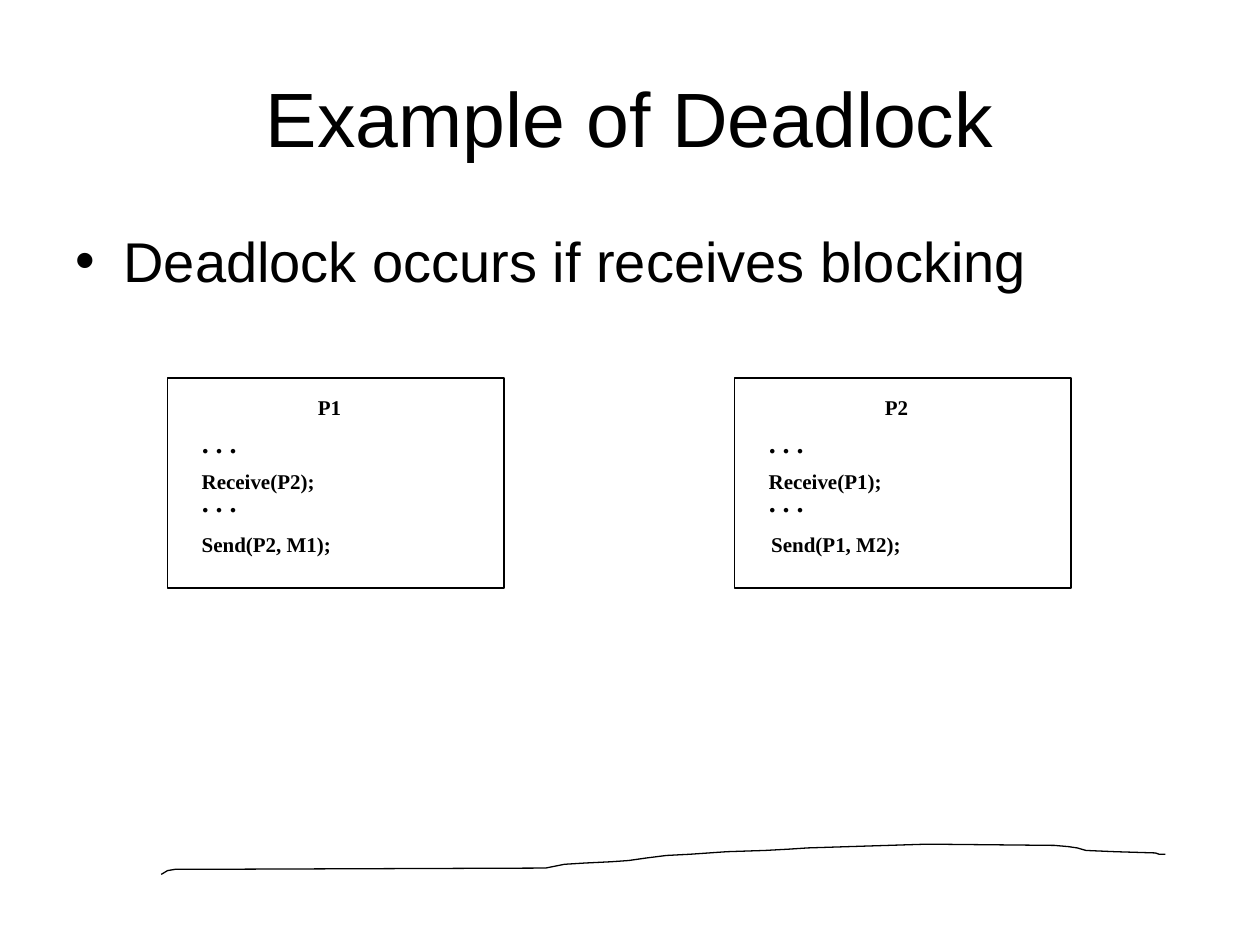
from lxml import etree
from pptx import Presentation
from pptx.dml.color import RGBColor
from pptx.enum.shapes import MSO_SHAPE
from pptx.enum.text import MSO_ANCHOR, MSO_AUTO_SIZE, PP_ALIGN
from pptx.oxml.ns import qn
from pptx.util import Inches, Pt

RECTANGLE = MSO_SHAPE.RECTANGLE
CENTER = PP_ALIGN.CENTER
MIDDLE, TOP = MSO_ANCHOR.MIDDLE, MSO_ANCHOR.TOP
FIT_SHAPE, NO_FIT = MSO_AUTO_SIZE.SHAPE_TO_FIT_TEXT, MSO_AUTO_SIZE.NONE

COLORS = {"ink": "000000", "paper": "FFFFFF"}
HEADING_FONT, CODE_FONT = "Arial", "Times New Roman"

RULE_POINTS = [
    (1.28, 6.94), (1.33, 6.91), (1.39, 6.9), (1.49, 6.9), (4.33, 6.89),
    (4.48, 6.86), (4.64, 6.85), (4.85, 6.84), (4.99, 6.83), (5.13, 6.81),
    (5.29, 6.79), (5.48, 6.78), (5.77, 6.76), (6.07, 6.75), (6.26, 6.74),
    (6.41, 6.73), (7.36, 6.7), (8.37, 6.71), (8.48, 6.72), (8.55, 6.73),
    (8.62, 6.75), (8.85, 6.76), (9.17, 6.77), (9.2, 6.78), (9.25, 6.78),
]


def color(name):
    return RGBColor.from_string(COLORS[name])


def style_text(paragraph, font_name, size, bold=False):
    for run in paragraph.runs:
        run.font.name = font_name
        run.font.size = Pt(size)
        run.font.bold = bold
        run.font.color.rgb = color("ink")


def place(shape, left, top, width, height):
    shape.left, shape.top = Inches(left), Inches(top)
    shape.width, shape.height = Inches(width), Inches(height)


def add_rule(slide, points):
    """Draw the hand-drawn line along the foot of the slide."""
    start, *rest = [(Inches(x), Inches(y)) for x, y in points]
    builder = slide.shapes.build_freeform(*start)
    builder.add_line_segments(rest, close=False)
    rule = builder.convert_to_shape()
    rule.shadow.inherit = False
    rule.fill.background()
    rule.line.color.rgb = color("ink")
    rule.line.width = Pt(0.75)


def fill_title(title, text, box):
    place(title, *box)
    frame = title.text_frame
    frame.text = text
    frame.vertical_anchor = MIDDLE
    frame.paragraphs[0].alignment = CENTER
    style_text(frame.paragraphs[0], HEADING_FONT, 44)


def fill_body(body, text, box):
    place(body, *box)
    frame = body.text_frame
    frame.text = text
    frame.vertical_anchor = TOP
    frame.auto_size = NO_FIT
    point = frame.paragraphs[0]
    point.space_before = Pt(8)
    style_text(point, HEADING_FONT, 32)
    properties = point._p.get_or_add_pPr()
    properties.set("marL", str(Inches(0.38)))
    properties.set("indent", str(Inches(-0.38)))
    etree.SubElement(properties, qn("a:buFont")).set("typeface", HEADING_FONT)
    etree.SubElement(properties, qn("a:buChar")).set("char", "•")


def add_code(slide, text, left, top, width, height, size):
    label = slide.shapes.add_textbox(
        Inches(left), Inches(top), Inches(width), Inches(height))
    frame = label.text_frame
    frame.word_wrap = False
    frame.auto_size = FIT_SHAPE
    frame.text = text
    frame.paragraphs[0].alignment = CENTER
    style_text(frame.paragraphs[0], CODE_FONT, size, bold=True)


def add_process(slide, name, partner, message, box, send_shift=0):
    """Draw one process box with its receive and send calls."""
    left, top, width, height = box
    frame = slide.shapes.add_shape(
        RECTANGLE, Inches(left), Inches(top), Inches(width), Inches(height))
    frame.shadow.inherit = False
    frame.fill.solid()
    frame.fill.fore_color.rgb = color("paper")
    frame.line.color.rgb = color("ink")
    frame.line.width = Pt(1)

    code_left = left + 0.17
    add_code(slide, name, left + 1.09, top + 0.08, 0.39, 0.3, 12)
    for dots_top in (top + 0.33, top + 0.8):
        add_code(slide, ". . .", code_left, dots_top, 0.48, 0.37, 16)
    add_code(slide, f"Receive({partner});", code_left, top + 0.67, 1.1, 0.3, 12)
    add_code(slide, f"Send({partner}, {message});",
             code_left + send_shift, top + 1.17, 1.23, 0.3, 12)


def main():
    deck = Presentation()
    deck.slide_width, deck.slide_height = Inches(10), Inches(7.5)
    slide = deck.slides.add_slide(deck.slide_layouts[1])
    title, body = slide.placeholders

    add_rule(slide, RULE_POINTS)
    fill_title(title, "Example of Deadlock", (0.5, 0.3, 9, 1.25))
    fill_body(body, "Deadlock occurs if receives blocking", (0.5, 1.75, 9, 5.42))
    add_process(slide, "P1", "P2", "M1", (1.33, 3, 2.67, 1.67))
    add_process(slide, "P2", "P1", "M2", (5.83, 3, 2.67, 1.67), send_shift=0.02)
    deck.save("out.pptx")


if __name__ == "__main__":
    main()
